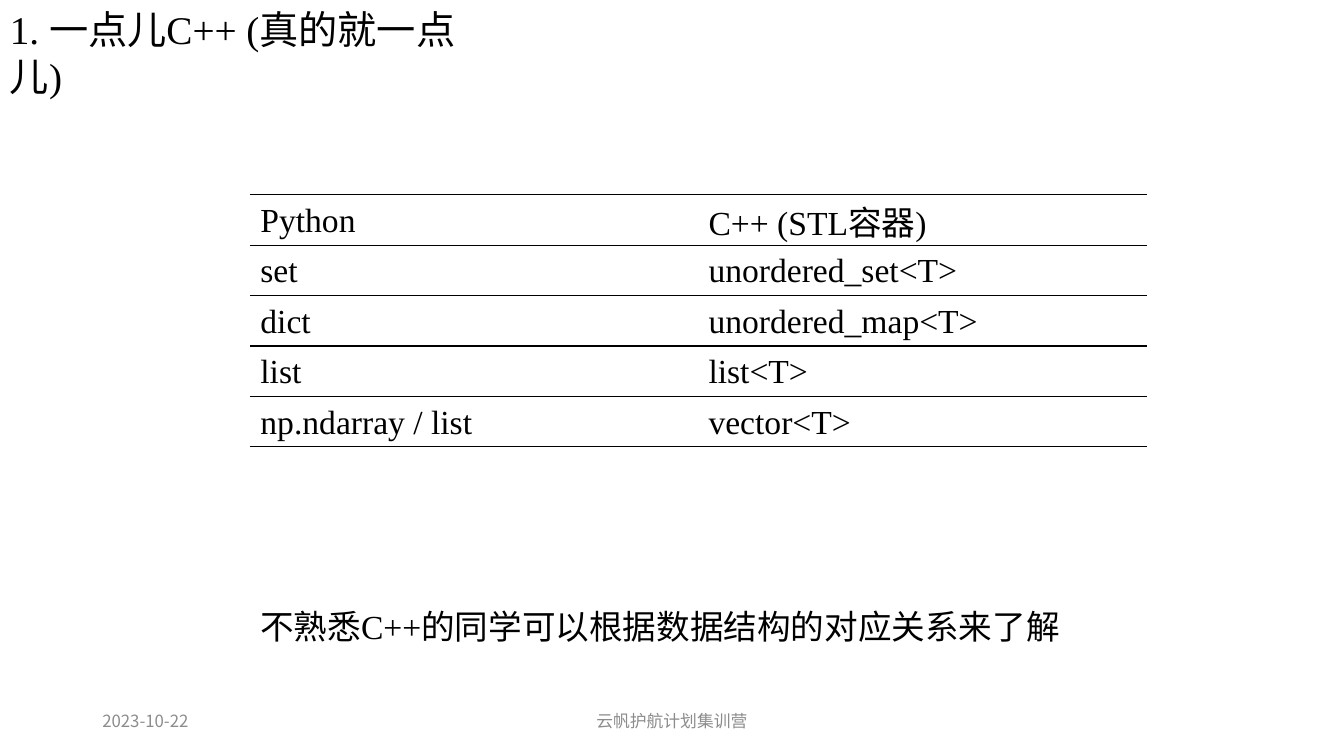
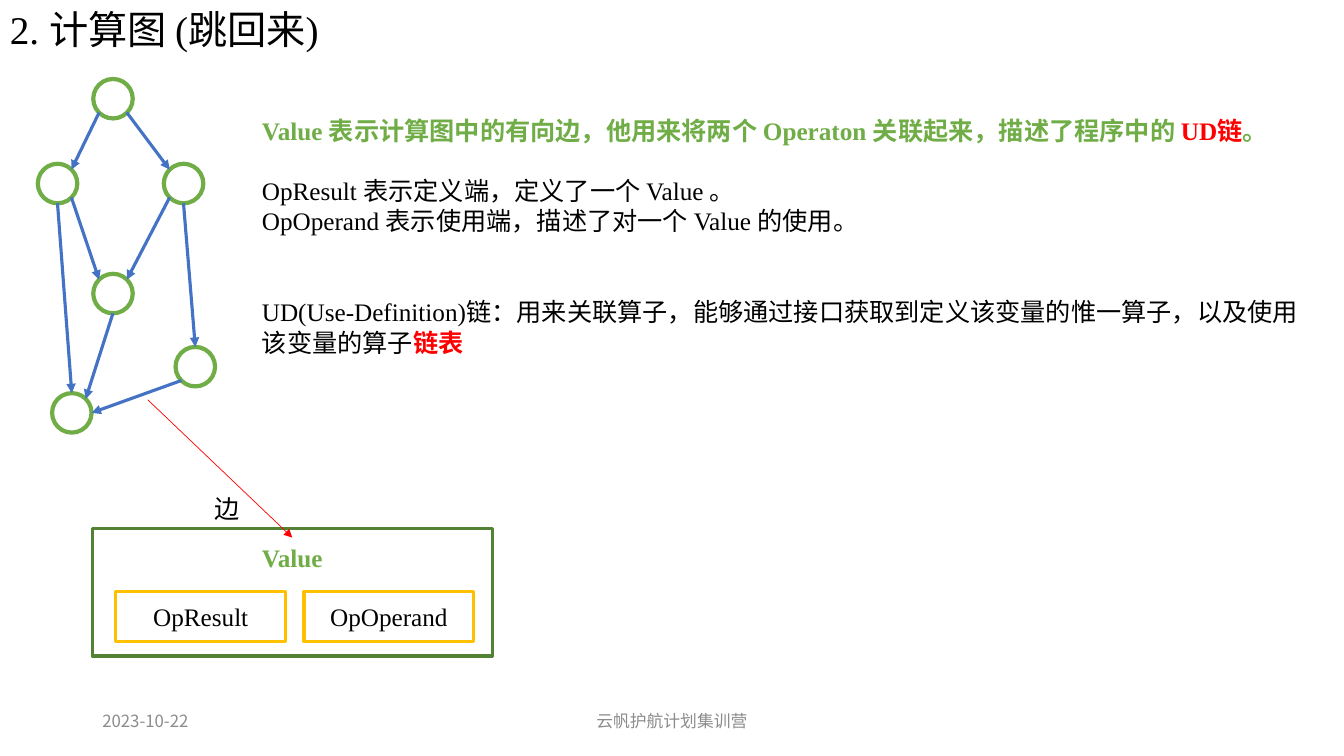
import dataclasses
import pptx
import pptx.util
import pptx.dml.color
import pptx.enum.lang
import pptx.enum.shapes
import pptx.enum.text
import pptx.oxml
import pptx.oxml.ns
import lxml.etree

COLOURS = {
    "paper": "FFFFFF", "ink": "000000", "footer": "8C8C8C", "node": "70AD47",
    "edge": "4472C4", "frame": "548235", "end": "FFC000", "accent": "FF0000",
}
SERIF = "Times New Roman"
SANS = "Noto Sans CJK SC"
COLUMNS, ROWS = 160, 90
CELL = pptx.util.Inches(1) // 12
SHAPES = pptx.enum.shapes.MSO_SHAPE
ALIGN = pptx.enum.text.PP_ALIGN
ANCHOR = pptx.enum.text.MSO_ANCHOR


@dataclasses.dataclass
class Box:
    """A rectangle measured in grid columns and rows."""
    left: float
    top: float
    width: float
    height: float

    def inside(self, left, top, width, height):
        """Return a box placed relative to this one."""
        return Box(self.left + left, self.top + top, width, height)

    def point(self, across, down):
        """Return the point at the given shares of the box."""
        return self.left + across * self.width, self.top + down * self.height

    def lengths(self):
        """Return left, top, width and height as slide lengths."""
        return [grid(n) for n in (self.left, self.top, self.width, self.height)]


@dataclasses.dataclass
class Span:
    """A piece of text with its own look."""
    text: str
    size: int = 18
    colour: str = "ink"
    bold: bool = False
    font: str = SERIF


PAGE = Box(0, 0, COLUMNS, ROWS)


def grid(count):
    """Turn a number of grid cells into a length."""
    return pptx.util.Emu(round(count * CELL))


def rgb(name):
    """Look up a named colour."""
    return pptx.dml.color.RGBColor.from_string(COLOURS[name])


def write(frame, paragraphs, align=ALIGN.LEFT, anchor=ANCHOR.TOP, gaps=()):
    """Fill a text frame with paragraphs made of spans."""
    frame.word_wrap = True
    frame.vertical_anchor = anchor
    for index, spans in enumerate(paragraphs):
        para = frame.add_paragraph() if index else frame.paragraphs[0]
        para.alignment = align
        if gaps:
            para.space_before = pptx.util.Pt(gaps[index])
        for span in spans:
            run = para.add_run()
            run.text = span.text
            run.font.name = span.font
            run.font.size = pptx.util.Pt(span.size)
            run.font.bold = span.bold
            run.font.color.rgb = rgb(span.colour)
            run.font.language_id = pptx.enum.lang.MSO_LANGUAGE_ID.SIMPLIFIED_CHINESE


def add_text(page, box, paragraphs, **layout):
    """Add a text box."""
    write(page.shapes.add_textbox(*box.lengths()).text_frame, paragraphs, **layout)


def add_outline(page, kind, box, colour, weight):
    """Add an unfilled shape with a coloured outline."""
    shape = page.shapes.add_shape(kind, *box.lengths())
    shape.shadow.inherit = False
    shape.fill.background()
    shape.line.color.rgb = rgb(colour)
    shape.line.width = pptx.util.Pt(weight)
    return shape


def add_arrow(page, start, end, colour, weight):
    """Add a straight arrow between two grid points."""
    arrow = page.shapes.add_connector(
        pptx.enum.shapes.MSO_CONNECTOR.STRAIGHT, *map(grid, (*start, *end)))
    arrow.line.color.rgb = rgb(colour)
    arrow.line.width = pptx.util.Pt(weight)
    name = pptx.oxml.ns.qn
    lxml.etree.SubElement(arrow.line._get_or_add_ln(), name("a:tailEnd"), type="triangle")
    lxml.etree.SubElement(arrow._element.spPr, name("a:effectLst"))


def rule_cell(cell):
    """Draw only the top and bottom borders of a table cell."""
    properties = cell._tc.get_or_add_tcPr()
    name = pptx.oxml.ns.qn
    for side in "LRTB":
        border = lxml.etree.SubElement(properties, name("a:ln" + side), w="12700")
        if side in "LR":
            lxml.etree.SubElement(border, name("a:noFill"))
        else:
            fill = lxml.etree.SubElement(border, name("a:solidFill"))
            lxml.etree.SubElement(fill, name("a:srgbClr"), val=COLOURS["ink"])
    cell.fill.background()


def add_page(deck, title, title_width):
    """Add a blank page with the shared title and footer."""
    page = deck.slides.add_slide(deck.slide_layouts[6])
    page.background.fill.solid()
    page.background.fill.fore_color.rgb = rgb("paper")
    footers = (
        ("2023-10-22", PAGE.inside(11, 83.4, 36, 4.8), ALIGN.LEFT),
        ("云帆护航计划集训营", PAGE.inside(53, 83.4, 54, 4.8), ALIGN.CENTER),
    )
    for text, box, align in footers:
        add_text(page, box, [[Span(text, 12, "footer", font=SANS)]],
                 align=align, anchor=ANCHOR.MIDDLE)
    add_text(page, PAGE.inside(0, 0, title_width, 6.8), [[Span(title, 28)]])
    return page


def add_container_table(page, box):
    """Add the table of matching Python and C++ containers."""
    rows = [
        ([Span("Python", 24)],
         [Span("C++ (STL", 24), Span("容器", 24, font=SANS), Span(")", 24)]),
    ]
    pairs = (("set", "unordered_set<T>"), ("dict", "unordered_map<T>"),
             ("list", "list<T>"), ("np.ndarray / list", "vector<T>"))
    rows += [[[Span(text, 24)] for text in pair] for pair in pairs]
    table = page.shapes.add_table(len(rows), 2, *box.lengths()).table
    table.first_row = table.horz_banding = False
    for row, texts in zip(table.rows, rows):
        row.height = grid(box.height / len(rows))
        for cell, spans in zip(row.cells, texts):
            rule_cell(cell)
            cell.margin_top = grid(0.24)
            cell.margin_bottom = 0
            write(cell.text_frame, [spans])
            cell.vertical_anchor = ANCHOR.MIDDLE


def add_graph(page, box):
    """Add the computation graph of nodes and directed edges."""
    places = {
        "top": (6.6, 0), "left": (0, 10.1), "right": (15, 10.1),
        "middle": (6.6, 23.2), "sink": (1.7, 37.4), "side": (16.4, 31.9),
    }
    nodes = {name: box.inside(*place, 4.7, 4.7) for name, place in places.items()}
    sites = {
        "N": (0.5, 0), "S": (0.5, 1), "E": (1, 0.5), "NW": (0.15, 0.15),
        "NE": (0.85, 0.15), "SW": (0.15, 0.85), "SE": (0.85, 0.85),
    }
    edges = (
        ("top", "SW", "left", "NE"), ("top", "SE", "right", "NW"),
        ("right", "SW", "middle", "NE"), ("left", "SE", "middle", "NW"),
        ("middle", "S", "sink", "NE"), ("left", "S", "sink", "N"),
        ("side", "SW", "sink", "E"), ("right", "S", "side", "N"),
    )
    for node in nodes.values():
        add_outline(page, SHAPES.OVAL, node, "node", 3)
    for source, leave, target, arrive in edges:
        add_arrow(page, nodes[source].point(*sites[leave]),
                  nodes[target].point(*sites[arrive]), "edge", 2.25)


def add_value_frame(page, box):
    """Add the Value frame with its two ends and the pointer to it."""
    add_outline(page, SHAPES.RECTANGLE, box, "frame", 2.25)
    add_text(page, box.inside(19, 1.1, 9.6, 4.8), [[Span("Value", colour="node", bold=True)]])
    for index, name in enumerate(("OpResult", "OpOperand")):
        end = add_outline(page, SHAPES.RECTANGLE,
                          box.inside(2.8 + 22.4 * index, 7.5, 20.2, 6), "end", 2.25)
        write(end.text_frame, [[Span(name)]], align=ALIGN.CENTER, anchor=ANCHOR.MIDDLE)
    pointer = box.inside(6.6, -15.3, 17.2, 16.4)
    add_arrow(page, pointer.point(0, 0), pointer.point(1, 1), "accent", 0.5)
    add_text(page, box.inside(13.4, -4.8, 9.8, 4.8), [[Span("边", font=SANS)]])


def add_explanation(page, box):
    """Add the description of values and chains."""
    paragraphs = [
        [Span("Value 表示计算图中的有向边，他用来将两个 Operaton 关联起来，描述了程序中的 ",
              colour="node", bold=True),
         Span("UD链", colour="accent", bold=True),
         Span("。", colour="node", bold=True)],
        [Span("OpResult 表示定义端，定义了一个 Value 。")],
        [Span("OpOperand 表示使用端，描述了对一个 Value 的使用。")],
        [Span("UD(Use-Definition)链：用来关联算子，能够通过接口获取到定义该变量的惟一算子，"
              "以及使用该变量的算子"),
         Span("链表", colour="accent", bold=True)],
    ]
    add_text(page, box, paragraphs, gaps=(0, 21.5, 0, 43.5))


def build_containers(deck):
    """Build the page on containers."""
    page = add_page(deck, "1. 一点儿C++ (真的就一点儿)", 61.5)
    add_container_table(page, PAGE.inside(29.8, 23.2, 106.7, 30))
    add_text(page, PAGE.inside(29.8, 71.6, 106.7, 6),
             [[Span("不熟悉C++的同学可以根据数据结构的对应关系来了解", 24)]])


def build_graph(deck):
    """Build the page on the computation graph."""
    page = add_page(deck, "2. 计算图 (跳回来)", 72.4)
    add_graph(page, PAGE.inside(4.5, 9.4, 21.1, 42.1))
    add_value_frame(page, PAGE.inside(11, 62.9, 47.6, 15.2))
    add_explanation(page, PAGE.inside(30, 13.1, 127.2, 30.2))


def main():
    """Build and save the deck."""
    deck = pptx.Presentation()
    deck.slide_width, deck.slide_height = grid(COLUMNS), grid(ROWS)
    build_containers(deck)
    build_graph(deck)
    deck.save("out.pptx")


if __name__ == "__main__":
    main()
